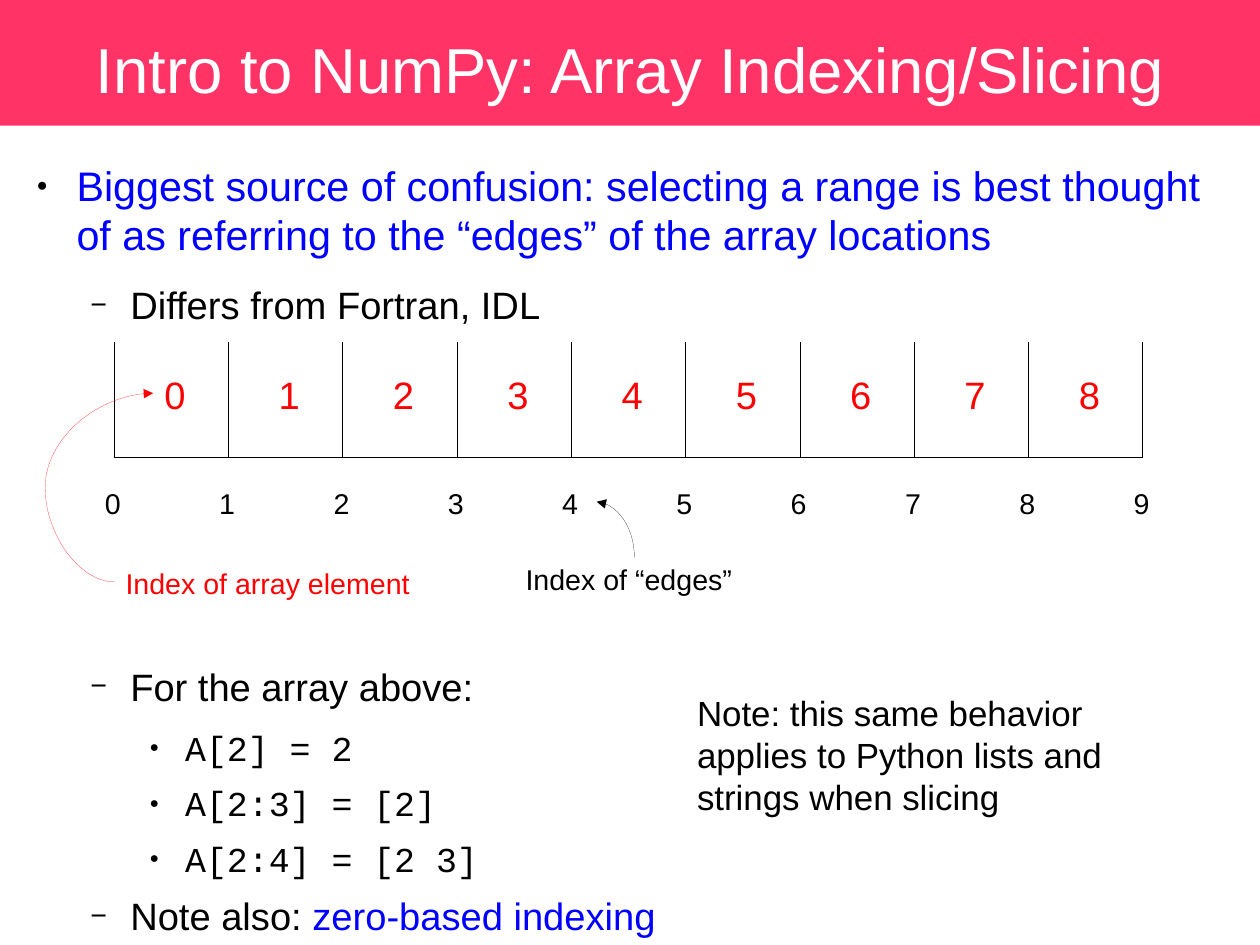
from lxml import etree
from pptx import Presentation
from pptx.dml.color import RGBColor
from pptx.enum.shapes import MSO_CONNECTOR, MSO_SHAPE
from pptx.enum.text import MSO_ANCHOR, PP_ALIGN
from pptx.oxml.ns import qn
from pptx.util import Cm, Emu, Pt

EMU_PER_PX = 9144  # 100 px to the inch
SLIDE_WIDTH, SLIDE_HEIGHT = Cm(28), Cm(21)
STRAIGHT, CURVE = MSO_CONNECTOR.STRAIGHT, MSO_CONNECTOR.CURVE
RECTANGLE = MSO_SHAPE.RECTANGLE
TOP, MIDDLE = MSO_ANCHOR.TOP, MSO_ANCHOR.MIDDLE
LEFT, CENTER = PP_ALIGN.LEFT, PP_ALIGN.CENTER

COLORS = {
    "banner": "FF3366",
    "white": "FFFFFF",
    "black": "000000",
    "blue": "0000FF",
    "red": "FF0000",
}
SANS, MONO = "Arial", "Courier New"

# Outline level: left margin px, hanging px, space after pt, bullet, bullet percent
LEVELS = [
    (47, 35, 14.2, "●", 45),
    (94, 35, 11.3, "−", 75),
    (142, 31, 8.5, "●", 45),
]

CELL = 100
CELL_COUNT = 9
ARRAY_LEFT, ARRAY_TOP = 100, 300
ARRAY_RIGHT, ARRAY_BOTTOM = ARRAY_LEFT + CELL * CELL_COUNT, ARRAY_TOP + CELL


def px(length):
    return Emu(length * EMU_PER_PX)


def color(name):
    return RGBColor.from_string(COLORS[name])


class SlideBuilder:
    def __init__(self, slide):
        self.slide = slide

    def banner(self, height):
        """Fill the full slide width down to the given height."""
        shape = self.slide.shapes.add_shape(
            RECTANGLE, 0, 0, SLIDE_WIDTH, px(height))
        shape.shadow.inherit = False
        shape.fill.solid()
        shape.fill.fore_color.rgb = color("banner")
        shape.line.fill.background()

    def frame(self, box, inset_x=0, inset_y=0, anchor=TOP):
        """Add an empty wrapping text box and return its text frame."""
        frame = self.slide.shapes.add_textbox(*map(px, box)).text_frame
        frame.word_wrap = True
        frame.vertical_anchor = anchor
        frame.margin_left = frame.margin_right = px(inset_x)
        frame.margin_top = frame.margin_bottom = px(inset_y)
        return frame

    def run(self, paragraph, text, size, color_name="black", font=SANS):
        run = paragraph.add_run()
        run.text = text
        run.font.size = Pt(size)
        run.font.name = font
        run.font.color.rgb = color(color_name)

    def title(self, box, text):
        paragraph = self.frame(box, anchor=MIDDLE).paragraphs[0]
        paragraph.alignment = CENTER
        self.run(paragraph, text, 40, "white")

    def label(self, box, text, size, color_name="black"):
        paragraph = self.frame(box, 10, 5).paragraphs[0]
        paragraph.alignment = LEFT
        self.run(paragraph, text, size, color_name)

    def outline(self, box, items):
        """Add bulleted paragraphs; each item is (level, runs)."""
        frame = self.frame(box)
        for index, (level, runs) in enumerate(items):
            paragraph = frame.add_paragraph() if index else frame.paragraphs[0]
            self.bullet(paragraph, level)
            for run in runs:
                self.run(paragraph, *run)

    def bullet(self, paragraph, level):
        margin, hanging, space_after, character, percent = LEVELS[level]
        paragraph.level = level
        paragraph.space_before = Pt(0)
        paragraph.space_after = Pt(space_after)
        properties = paragraph._p.get_or_add_pPr()
        properties.set("marL", str(px(margin)))
        properties.set("indent", str(px(-hanging)))
        bullet_color = etree.SubElement(properties, qn("a:buClr"))
        etree.SubElement(bullet_color, qn("a:srgbClr"), val=COLORS["black"])
        etree.SubElement(properties, qn("a:buSzPct"), val=str(percent * 1000))
        etree.SubElement(properties, qn("a:buFont"), typeface=SANS)
        etree.SubElement(properties, qn("a:buChar"), char=character)

    def line(self, start, end, color_name="black", kind=STRAIGHT):
        """Add a hairline connector; zero width must be written explicitly."""
        connector = self.slide.shapes.add_connector(
            kind, *map(px, start), *map(px, end))
        connector.line.color.rgb = color(color_name)
        properties = connector._element.spPr
        properties.find(qn("a:ln")).set("w", "0")
        etree.SubElement(properties, qn("a:effectLst"))
        return connector

    def curved_arrow(self, box, preset, rotation, flip, color_name, bend=None):
        """Add a curve in its unrotated box; bend is the adjustment in percent."""
        left, top, width, height = box
        connector = self.line(
            (left, top), (left + width, top + height), color_name, CURVE)
        properties = connector._element.spPr
        transform = properties.find(qn("a:xfrm"))
        transform.set("rot", str(rotation * 60000))
        transform.set(flip, "1")
        geometry = properties.find(qn("a:prstGeom"))
        geometry.set("prst", preset)
        if bend is not None:
            etree.SubElement(geometry.find(qn("a:avLst")), qn("a:gd"),
                             name="adj1", fmla=f"val {round(bend * 1000)}")
        etree.SubElement(properties.find(qn("a:ln")), qn("a:tailEnd"),
                         type="triangle")


def draw_array(builder):
    builder.line((ARRAY_LEFT, ARRAY_BOTTOM), (ARRAY_RIGHT, ARRAY_BOTTOM))
    for edge in range(CELL_COUNT + 1):
        x = ARRAY_LEFT + edge * CELL
        builder.line((x, ARRAY_TOP), (x, ARRAY_BOTTOM))
        builder.label((x - 18, 420, 40, 38), str(edge), 18)
    for element in range(CELL_COUNT):
        x = ARRAY_LEFT + element * CELL
        builder.label((x + 34, 320, 50, 47), str(element), 24, "red")


def main():
    presentation = Presentation()
    presentation.slide_width = SLIDE_WIDTH
    presentation.slide_height = SLIDE_HEIGHT
    slide = presentation.slides.add_slide(presentation.slide_layouts[6])
    builder = SlideBuilder(slide)

    builder.banner(110)
    builder.title((55, 21, 992, 77), "Intro to NumPy: Array Indexing/Slicing")
    builder.outline((20, 140, 1060, 150), [
        (0, [("Biggest source of confusion: selecting a range is best thought "
              "of as referring to the “edges” of the array locations",
              26, "blue")]),
        (1, [("Differs from Fortran, IDL", 24)]),
    ])
    examples = ["A[2] = 2", "A[2:3] = [2]", "A[2:4] = [2 3]"]
    builder.outline((20, 580, 1060, 240), [
        (1, [("For the array above:", 24)]),
        *[(2, [(example, 22, "black", MONO)]) for example in examples],
        (1, [("Note also:", 24), (" zero-based indexing", 24, "blue")]),
    ])

    draw_array(builder)
    builder.label((100, 490, 270, 38), "Index of array element", 18, "red")
    builder.curved_arrow((100, 344, 34, 165), "curvedConnector3", 180, "flipH",
                         "red", bend=-177.8)
    builder.label((450, 487, 210, 38), "Index of “edges”", 18)
    builder.curved_arrow((514, 447, 49, 33), "curvedConnector2", 270, "flipV",
                         "black")
    builder.label((600, 600, 400, 112),
                  "Note: this same behavior applies to Python lists and strings "
                  "when slicing", 22)

    presentation.save("out.pptx")


if __name__ == "__main__":
    main()
